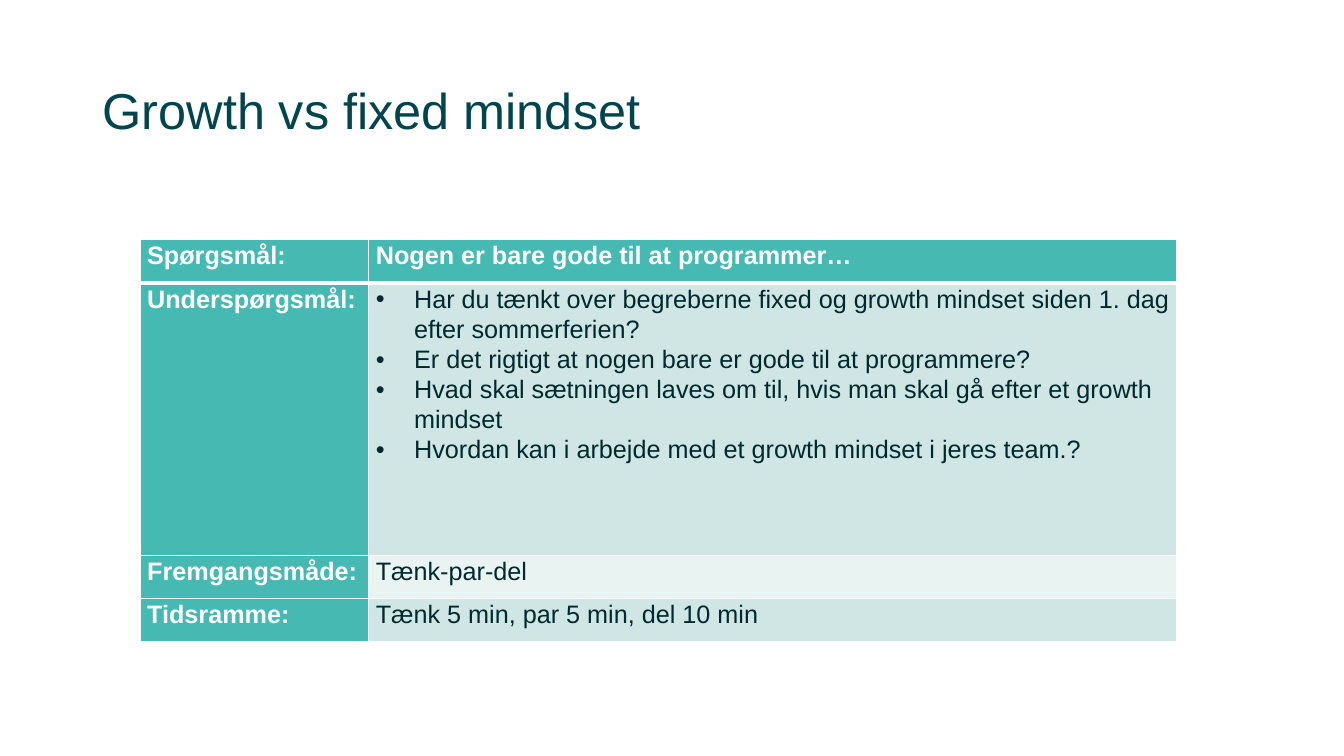
from dataclasses import dataclass

from lxml import etree
from pptx import Presentation
from pptx.dml.color import RGBColor
from pptx.enum.text import MSO_ANCHOR
from pptx.oxml.ns import qn
from pptx.util import Inches, Pt

MIDDLE, TOP = MSO_ANCHOR.MIDDLE, MSO_ANCHOR.TOP


@dataclass(frozen=True)
class Theme:
    """Colours, font and type sizes of the slide."""
    font: str = "Arial"
    title: str = "00454E"
    ink: str = "00292F"
    white: str = "FFFFFF"
    teal: str = "47B9B3"
    bands: tuple = ("E9F3F2", "CFE6E5")
    head: int = 36
    body: int = 18


THEME = Theme()
ROWS = [
    ("Spørgsmål:", ["Nogen er bare gode til at programmer…"], 0.43),
    ("Underspørgsmål:", [
        "Har du tænkt over begreberne fixed og growth mindset siden 1. dag "
        "efter sommerferien?",
        "Er det rigtigt at nogen bare er gode til at programmere?",
        "Hvad skal sætningen laves om til, hvis man skal gå efter et growth mindset",
        "Hvordan kan i arbejde med et growth mindset i jeres team.?",
    ], 2.7),
    ("Fremgangsmåde:", ["Tænk-par-del"], 0.43),
    ("Tidsramme:", ["Tænk 5 min, par 5 min, del 10 min"], 0.43),
]
COLS = (2.27, 8.02)


def write(frame, lines, size=THEME.body, color=THEME.ink, bold=False,
          space=1.07, bullet=False):
    """Fill a text frame with one formatted paragraph per line."""
    for i, line in enumerate(lines):
        para = frame.add_paragraph() if i else frame.paragraphs[0]
        para.line_spacing = space
        run = para.add_run()
        run.text = line
        font = run.font
        font.name, font.size, font.bold = THEME.font, Pt(size), bold
        font.color.rgb = RGBColor.from_string(color)
        if bullet:
            props = para._p.get_or_add_pPr()
            props.set("marL", str(Inches(0.38)))
            props.set("indent", str(-Inches(0.38)))
            mark = etree.SubElement(props, qn("a:buFont"))
            mark.set("typeface", THEME.font)
            etree.SubElement(props, qn("a:buChar")).set("char", "•")


def border(cell, widths):
    """Draw white cell borders; widths maps a side to points."""
    props = cell._tc.get_or_add_tcPr()
    for i, side in enumerate("LRTB"):
        line = etree.Element(qn(f"a:ln{side}"), w=str(Pt(widths.get(side, 1))))
        fill = etree.SubElement(line, qn("a:solidFill"))
        etree.SubElement(fill, qn("a:srgbClr")).set("val", THEME.white)
        props.insert(i, line)


def add_title(slide, text, left, top, width, height):
    """Place the slide title in the given box."""
    box = slide.shapes.add_textbox(*map(Inches, (left, top, width, height)))
    frame = box.text_frame
    frame.word_wrap = True
    frame.vertical_anchor = MIDDLE
    write(frame, [text], size=THEME.head, color=THEME.title, space=0.9)


def add_grid(slide, rows, left, top, width, height):
    """Place the question table, scaling its tracks to the given box."""
    shape = slide.shapes.add_table(
        len(rows), len(COLS), *map(Inches, (left, top, width, height)))
    table = shape.table
    for col, part in zip(table.columns, COLS):
        col.width = Inches(width * part / sum(COLS))
    total = sum(row[2] for row in rows)
    for r, (label, lines, part) in enumerate(rows):
        table.rows[r].height = Inches(height * part / total)
        for c, texts in enumerate(([label], lines)):
            cell = table.cell(r, c)
            strong = r == 0 or c == 0
            cell.margin_left = cell.margin_right = Inches(0.07)
            cell.margin_top = cell.margin_bottom = 0
            cell.vertical_anchor = TOP
            cell.fill.solid()
            cell.fill.fore_color.rgb = RGBColor.from_string(
                THEME.teal if strong else THEME.bands[r % 2])
            border(cell, {0: {"B": 3}, 1: {"T": 3}}.get(r, {}))
            write(cell.text_frame, texts, bold=strong, bullet=len(texts) > 1,
                  color=THEME.white if strong else THEME.ink)


def main():
    """Build the slide and save it."""
    deck = Presentation()
    deck.slide_width, deck.slide_height = Inches(13.33), Inches(7.5)
    slide = deck.slides.add_slide(deck.slide_layouts[6])
    add_title(slide, "Growth vs fixed mindset", 0.92, 0.4, 11.5, 1.45)
    add_grid(slide, ROWS, 1.39, 2.38, 10.28, 3.99)
    deck.save("out.pptx")


main()
